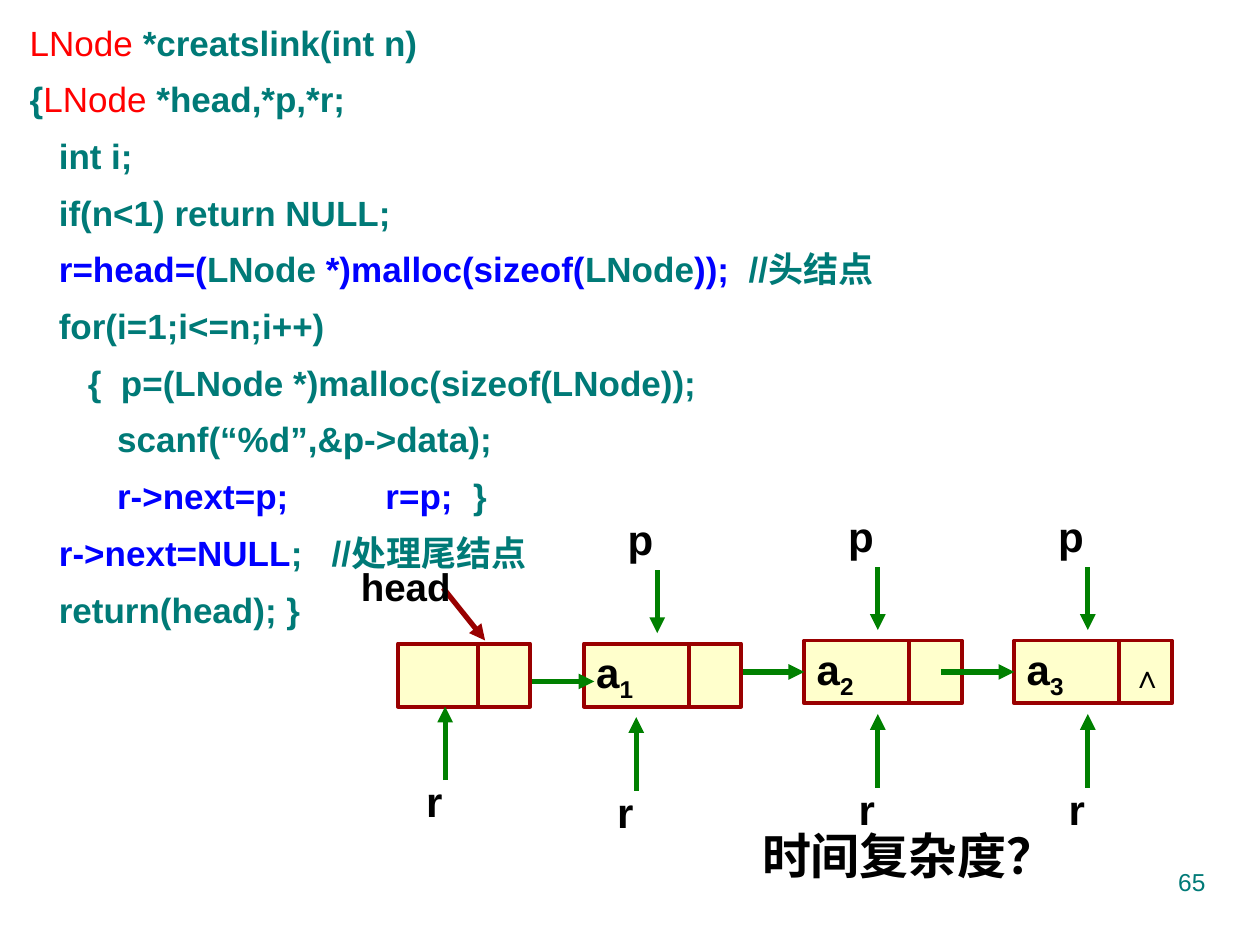
from lxml.etree import SubElement
from pptx import Presentation
from pptx.dml.color import RGBColor
from pptx.enum.shapes import MSO_CONNECTOR, MSO_SHAPE
from pptx.enum.text import MSO_ANCHOR, MSO_AUTO_SIZE, PP_ALIGN
from pptx.oxml.ns import qn
from pptx.util import Inches, Pt

COLORS = {"teal": "007A77", "red": "FF0000", "blue": "0000FF", "black": "000000",
          "cell": "FFFFCC", "border": "990000", "arrow": "008000"}
LATIN, CHINESE = "Arial", "Noto Sans CJK SC"

# The slide is a grid of 120 columns by 90 rows
COLUMNS, ROWS = 120, 90
WIDTH, HEIGHT = Inches(10), Inches(7.5)
CELL_HEIGHT, DATA_WIDTH, LINK_WIDTH = 6, 10, 5

# Each code line is a list of (color, text) spans
CODE = [
    [("teal", " "), ("red", "LNode "), ("teal", "*creatslink(int n)")],
    [("teal", " {"), ("red", "LNode"), ("teal", " *head,*p,*r;")],
    [("teal", "    int i;")],
    [("teal", "    if(n<1) return NULL;")],
    [("teal", "    "), ("blue", "r=head=("), ("teal", "LNode"),
     ("blue", " *)malloc(sizeof("), ("teal", "LNode"), ("blue", "));"),
     ("teal", "  //头结点")],
    [("teal", "    for(i=1;i<=n;i++)")],
    [("teal", "       {  p=(LNode *)malloc(sizeof(LNode));")],
    [("teal", "          scanf(“%d”,&p->data);")],
    [("blue", "          r->next=p;          r=p;  "), ("teal", "}")],
    [("teal", "    "), ("blue", "r->next=NULL"), ("teal", ";   //处理尾结点")],
    [("teal", "    return(head); }")],
]


def col(count):
    return round(WIDTH * count / COLUMNS)


def row(count):
    return round(HEIGHT * count / ROWS)


def area(left, top, width, height):
    return col(left), row(top), col(width), row(height)


def rgb(name):
    return RGBColor.from_string(COLORS[name])


def add_span(para, text, size, color="black", bold=True, face=LATIN):
    span = para.add_run()
    span.text = text
    font = span.font
    font.size, font.bold, font.name = Pt(size), bold, face
    font.color.rgb = rgb(color)
    SubElement(font._element, qn("a:ea"), typeface=face)
    return span


def add_label(page, place, text, size=24, color="black", bold=True):
    box = page.shapes.add_textbox(*area(*place))
    box.text_frame.word_wrap = True
    para = box.text_frame.paragraphs[0]
    add_span(para, text, size, color, bold)
    return para


def add_cell(page, left, top, width):
    cell = page.shapes.add_shape(MSO_SHAPE.RECTANGLE, *area(left, top, width, CELL_HEIGHT))
    cell.shadow.inherit = False
    cell.fill.solid()
    cell.fill.fore_color.rgb = rgb("cell")
    cell.line.color.rgb = rgb("border")
    cell.line.width = Pt(2.25)
    return cell


def add_node(page, left, top, index=None, link_offset=DATA_WIDTH):
    data = add_cell(page, left, top, DATA_WIDTH)
    add_cell(page, left + link_offset, top, LINK_WIDTH)
    if index:
        frame = data.text_frame
        frame.word_wrap = True
        frame.vertical_anchor = MSO_ANCHOR.MIDDLE
        para = frame.paragraphs[0]
        para.alignment = PP_ALIGN.LEFT
        add_span(para, "a", 24)
        subscript = add_span(para, index, 24)
        subscript.font._element.set("baseline", "-25000")
    return data


def add_arrow(page, start, end, color="arrow", target=None):
    arrow = page.shapes.add_connector(
        MSO_CONNECTOR.STRAIGHT, col(start[0]), row(start[1]), col(end[0]), row(end[1]))
    if target is not None:
        arrow.end_connect(target, 1)
    arrow.line.color.rgb = rgb(color)
    arrow.line.width = Pt(3)
    SubElement(arrow.line._get_or_add_ln(), qn("a:tailEnd"), type="triangle")
    SubElement(arrow._element.spPr, qn("a:effectLst"))


def add_p_marker(page, x, node_top):
    add_arrow(page, (x, node_top - 7), (x, node_top - 1))
    add_label(page, (x - 4, node_top - 13, 8, 6), "p")


def add_r_marker(page, x, tip):
    add_arrow(page, (x, tip + 7), (x, tip))
    add_label(page, (x - 3, tip + 6, 6, 6), "r")


def add_code(page):
    page.shapes.title._element.getparent().remove(page.shapes.title._element)
    body = page.placeholders[1]
    body.left, body.top, body.width, body.height = area(0.7, 0, 108, 82.7)
    frame = body.text_frame
    frame.word_wrap = True
    frame.auto_size = MSO_AUTO_SIZE.NONE
    frame.vertical_anchor = MSO_ANCHOR.TOP
    for number, line in enumerate(CODE):
        para = frame.add_paragraph() if number else frame.paragraphs[0]
        para.line_spacing = 1.35
        para.space_before = Pt(0)
        props = para._p.get_or_add_pPr()
        props.set("marL", str(Inches(0.38)))
        props.set("indent", str(-Inches(0.38)))
        SubElement(props, qn("a:buNone"))
        for color, text in line:
            add_span(para, text, 20, color, bold=color != "red")


def add_linked_list(page):
    top, first_top = 61, 61.3
    head_left, first_left, second_left, third_left = 37.9, 55.6, 76.6, 96.6

    # Last two nodes and the links into them
    third = add_node(page, third_left, top, "3")
    add_label(page, (third_left + DATA_WIDTH, top + 1, 5.4, 4.8), "∧", 18)
    second = add_node(page, second_left, top, "2")
    middle = top + CELL_HEIGHT / 2
    for node, left in ((second, second_left), (third, third_left)):
        add_arrow(page, (left - 7, middle), (left, middle), target=node)

    # First node, then the head node over the start of its link
    add_node(page, first_left, first_top, "1")
    add_arrow(page, (49.6, 64.9), (56.6, 64.9))
    add_arrow(page, (42.2, 56), (46.2, 61), "border")
    add_label(page, (33.2, 53, 11, 5.6), "head", 22)
    add_node(page, head_left, first_top, link_offset=7.6)

    # Moving pointers p and r
    for left, node_top in ((first_left, first_top), (second_left, top), (third_left, top)):
        add_p_marker(page, left + 7, node_top)
    for x, tip in ((head_left + 4.5, first_top + 6), (first_left + 5, first_top + 7),
                   (second_left + 7, top + 7), (third_left + 7, top + 7)):
        add_r_marker(page, x, tip)


def main():
    deck = Presentation()
    deck.slide_width, deck.slide_height = WIDTH, HEIGHT
    page = deck.slides.add_slide(deck.slide_layouts[1])
    add_code(page)
    add_linked_list(page)

    # Closing question and page number
    question = add_label(page, (71.4, 78, 36.2, 6.8), "时间复杂度", 28)
    add_span(question, "？", 28, face=CHINESE)
    number = add_label(page, (86, 82, 30, 6.2), "65", 14, "teal", bold=False)
    number.alignment = PP_ALIGN.RIGHT
    deck.save("out.pptx")


if __name__ == "__main__":
    main()
